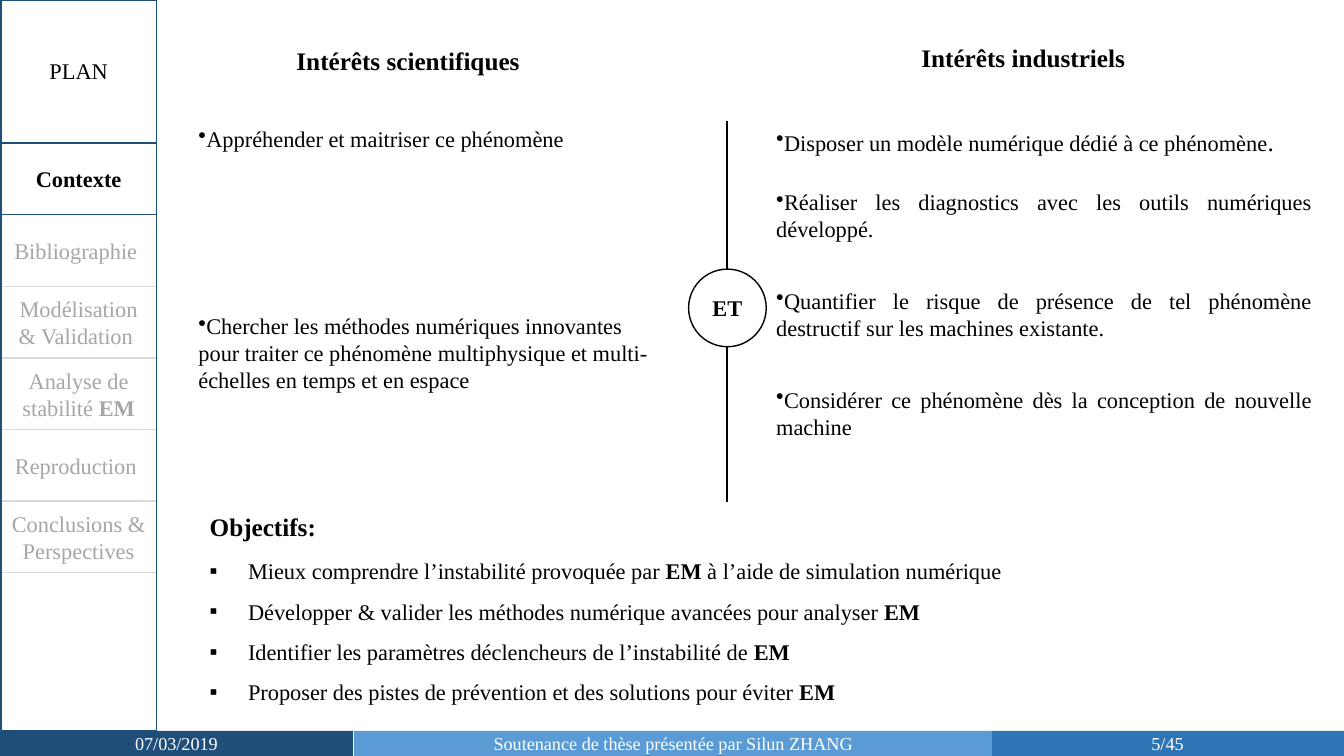
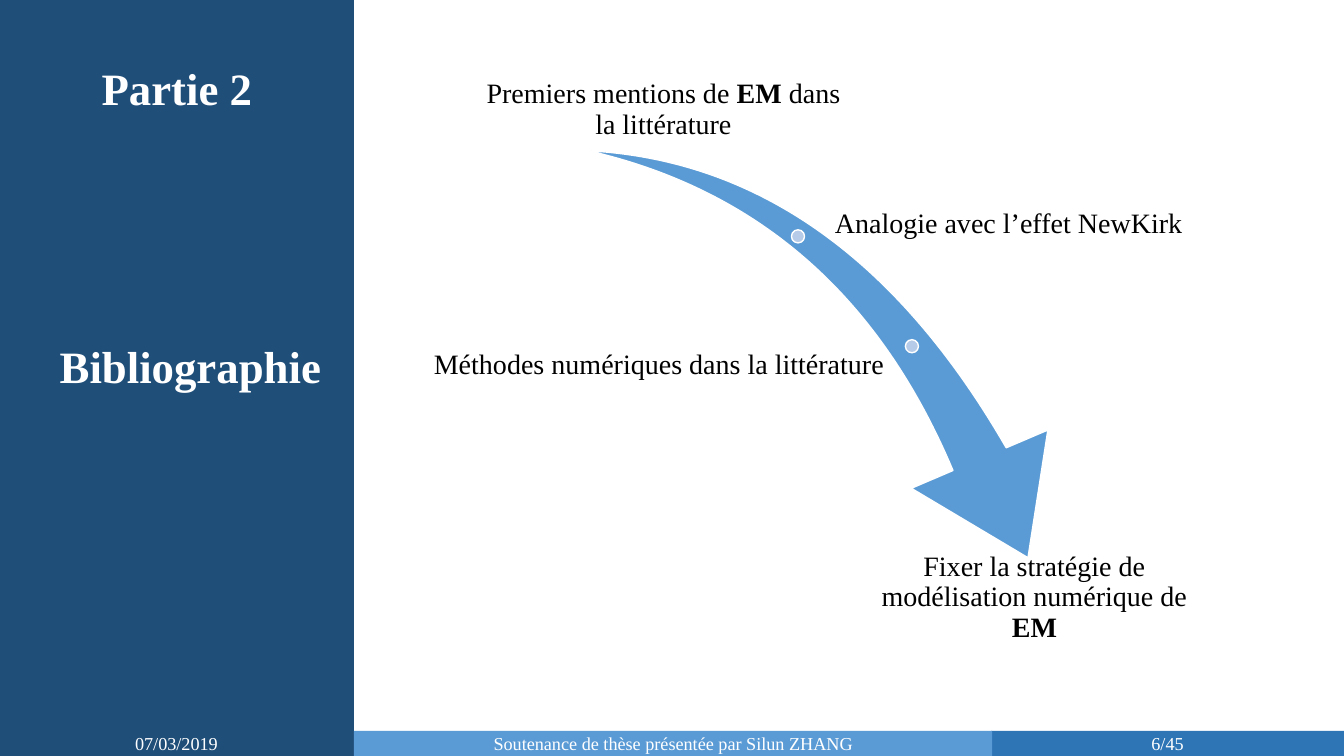
"""Build two thesis defence slides: the context page and the opening of part 2."""
from lxml import etree
from pptx import Presentation
from pptx.dml.color import RGBColor
from pptx.enum.shapes import MSO_CONNECTOR, MSO_SHAPE
from pptx.enum.text import MSO_ANCHOR, MSO_AUTO_SIZE, PP_ALIGN
from pptx.oxml.ns import qn
from pptx.util import Inches, Pt

FONT = "Times New Roman"
COLORS = {
    "navy": "1F4E79", "blue": "2E75B6", "sky": "5B9BD5", "pale": "B5CBE7",
    "rule": "D9D9D9", "muted": "A6A6A6", "black": "000000", "white": "FFFFFF",
}
LEFT, CENTER, RIGHT, JUSTIFY = PP_ALIGN.LEFT, PP_ALIGN.CENTER, PP_ALIGN.RIGHT, PP_ALIGN.JUSTIFY
TOP, MIDDLE, BOTTOM = MSO_ANCHOR.TOP, MSO_ANCHOR.MIDDLE, MSO_ANCHOR.BOTTOM
EM = ("EM", {"bold": True})

FOOTER_TOP, FOOTER_HEIGHT = 7.25, 0.25
DATE, EVENT, PAGE_COUNT = "07/03/2019", "Soutenance de thèse présentée par Silun ZHANG", 45

NAV_LEFT, NAV_WIDTH, NAV_TOP, NAV_HEIGHT = 0.01, 1.54, 1.42, 0.71
CURRENT_SECTION = "Contexte"
OTHER_SECTIONS = [
    ["Bibliographie "],
    ["Modélisation & Validation "],
    ["Analyse de stabilité ", EM],
    ["Reproduction "],
    ["Conclusions & Perspectives"],
]

INTERESTS = [
    ((1.87, 1.19, 4.12, 0.37), LEFT, ["Appréhender et maitriser ce phénomène"]),
    ((1.87, 3.05, 4.77, 1.18), LEFT, [
        "Chercher les méthodes numériques innovantes pour traiter ce phénomène "
        "multiphysique et multi-échelles en temps et en espace"]),
    ((7.6, 1.2, 5.51, 0.4), JUSTIFY, [
        "Disposer un modèle numérique dédié à ce phénomène", (". ", {"size": Pt(18)})]),
    ((7.6, 1.82, 5.51, 0.64), JUSTIFY, [
        "Réaliser les diagnostics avec les outils numériques développé."]),
    ((7.6, 2.8, 5.51, 0.64), JUSTIFY, [
        "Quantifier le risque de présence de tel phénomène destructif sur les machines existante."]),
    ((7.6, 3.78, 5.51, 0.64), JUSTIFY, [
        "Considérer ce phénomène dès la conception de nouvelle machine"]),
]
OBJECTIVES = [
    ["Mieux comprendre l’instabilité provoquée par ", EM, " à l’aide de simulation numérique"],
    ["Développer & valider les méthodes numérique avancées pour analyser ", EM],
    ["Identifier les paramètres déclencheurs de l’instabilité de ", EM],
    ["Proposer des pistes de prévention et des solutions pour éviter ", EM],
]

MILESTONES = [
    ((4.67, 0.47, 3.82, 0.95), CENTER, BOTTOM, ["Premiers mentions de ", EM, " dans la littérature"]),
    ((8.25, 1.75, 4.41, 0.95), LEFT, MIDDLE, ["Analogie avec l’effet NewKirk"]),
    ((4.07, 3.15, 4.8, 0.95), RIGHT, MIDDLE, ["Méthodes numériques dans la littérature "]),
    ((8.63, 5.45, 3.26, 0.95), CENTER, TOP, ["Fixer la stratégie de modélisation numérique de ", EM]),
]
DOTS = [(7.85, 2.28), (8.98, 3.37)]
DOT_SIZE = 0.13


def rgb(name):
    return RGBColor.from_string(COLORS[name])


def place(shape, area):
    for name, value in zip(("left", "top", "width", "height"), area):
        setattr(shape, name, Inches(value))


def write_para(para, spans, size=16, color="black", bold=False, align=LEFT,
               spacing=1.0, bullet=None, margin=0, indent=0):
    layout = {"alignment": align, "line_spacing": spacing,
              "space_before": Pt(0), "space_after": Pt(0)}
    for name, value in layout.items():
        setattr(para, name, value)
    properties = para._p.get_or_add_pPr()
    properties.set("marL", str(Inches(margin)))
    properties.set("indent", str(Inches(indent)))
    mark = etree.SubElement(properties, qn("a:buChar" if bullet else "a:buNone"))
    if bullet:
        mark.set("char", bullet)
    for piece in spans:
        text, changes = (piece, {}) if isinstance(piece, str) else piece
        span = para.add_run()
        span.text = text
        span.font.color.rgb = rgb(color)
        values = {"name": FONT, "size": Pt(size), "bold": bold, **changes}
        for name, value in values.items():
            setattr(span.font, name, value)


def write(shape, spans, anchor=TOP, wrap=True, inset=None, **look):
    frame = shape.text_frame
    values = {"auto_size": MSO_AUTO_SIZE.NONE, "word_wrap": wrap, "vertical_anchor": anchor}
    if inset is not None:
        for side in ("left", "top", "right", "bottom"):
            values["margin_" + side] = Inches(inset)
    for name, value in values.items():
        setattr(frame, name, value)
    write_para(frame.paragraphs[0], spans, **look)


def add_text(page, area, spans, **look):
    box = page.shapes.add_textbox(*map(Inches, area))
    write(box, spans, **look)


def add_shape(page, kind, area, fill=None, line=None):
    shape = page.shapes.add_shape(kind, *map(Inches, area))
    shape.shadow.inherit = False
    if fill:
        shape.fill.solid()
        shape.fill.fore_color.rgb = rgb(fill)
    else:
        shape.fill.background()
    if line:
        shape.line.color.rgb = rgb(line)
        shape.line.width = Pt(1)
    else:
        shape.line.fill.background()
    return shape


def set_title(page, area, text, **look):
    place(page.shapes.title, area)
    write(page.shapes.title, [text], bold=True, wrap=False, **look)


def add_footer(page, number):
    bands = [
        (9.83, 3.5, "blue", f"{number}/{PAGE_COUNT}"),
        (0, 3.5, "navy", DATE),
        (3.51, 6.33, "sky", EVENT),
    ]
    for left, width, fill, text in bands:
        band = add_shape(page, MSO_SHAPE.RECTANGLE, (left, FOOTER_TOP, width, FOOTER_HEIGHT), fill)
        write(band, [text], anchor=MIDDLE, size=13, color="white", align=CENTER)


def add_section(page, index, spans, line, **look):
    area = (NAV_LEFT, NAV_TOP + index * NAV_HEIGHT, NAV_WIDTH, NAV_HEIGHT)
    cell = add_shape(page, MSO_SHAPE.RECTANGLE, area, line=line)
    write(cell, spans, anchor=MIDDLE, align=CENTER, **look)


def add_navigation(page):
    add_text(page, (0.09, 0.52, 1.38, 0.37), ["PLAN"], align=CENTER)
    for index, spans in enumerate(OTHER_SECTIONS, 1):
        add_section(page, index, spans, "rule", color="muted")
    add_shape(page, MSO_SHAPE.RECTANGLE, (NAV_LEFT, 0, NAV_WIDTH, FOOTER_TOP), line="navy")
    add_section(page, 0, [CURRENT_SECTION], "navy", bold=True)


def add_divider(page):
    middle = 7.21
    divider = page.shapes.add_connector(
        MSO_CONNECTOR.STRAIGHT, *map(Inches, (middle, 1.2, middle, 4.98)))
    divider.line.color.rgb = rgb("black")
    divider.line.width = Pt(1.5)
    etree.SubElement(divider._element.spPr, qn("a:effectLst"))
    circle = add_shape(page, MSO_SHAPE.OVAL, (6.83, 2.67, 0.77, 0.77), "white", "black")
    write(circle, ["ET"], anchor=MIDDLE, bold=True, align=CENTER)


def build_context(deck):
    page = deck.slides.add_slide(deck.slide_layouts[1])
    set_title(page, (2.84, 0.4, 2.5, 0.4), "Intérêts scientifiques", size=18)
    objectives = page.placeholders[1]
    place(objectives, (1.98, 5.02, 8.88, 2.09))
    write(objectives, ["Objectifs:"], size=18, bold=True)
    objectives.text_frame.paragraphs[0].space_after = Pt(2)
    for spans in OBJECTIVES:
        write_para(objectives.text_frame.add_paragraph(), spans,
                   spacing=1.5, bullet="▪", margin=0.38, indent=-0.38)
    add_navigation(page)
    add_footer(page, 5)
    add_text(page, (9.04, 0.37, 2.43, 0.4), ["Intérêts industriels"], size=18, bold=True)
    add_divider(page)
    for area, align, spans in INTERESTS:
        add_text(page, area, spans, align=align, bullet="•", indent=-0.31)


def build_part(deck):
    page = deck.slides.add_slide(deck.slide_layouts[5])
    heading = {"size": 32, "color": "white", "align": CENTER}
    set_title(page, (0.48, 3.31, 2.82, 0.64), "Bibliographie", **heading)
    panel = add_shape(page, MSO_SHAPE.RECTANGLE, (0, 0, 3.5, 7.5), "navy", "navy")
    page.shapes.title.element.addprevious(panel.element)
    add_text(page, (0.9, 0.55, 1.71, 0.64), ["Partie 2"], bold=True, wrap=False, **heading)
    add_footer(page, 6)
    arrow = add_shape(page, MSO_SHAPE.SWOOSH_ARROW, (5.72, 1.65, 5.12, 3.57), "sky", "white")
    arrow.rotation = 73.3
    arrow.adjustments[0], arrow.adjustments[1] = 0.16, 0.31
    for left, top in DOTS:
        add_shape(page, MSO_SHAPE.OVAL, (left, top, DOT_SIZE, DOT_SIZE), "pale", "white")
    for area, align, anchor, spans in MILESTONES:
        add_text(page, area, spans, anchor=anchor, align=align,
                 size=20, spacing=0.9, inset=0.03)


def main():
    deck = Presentation()
    deck.slide_width, deck.slide_height = Inches(13.33), Inches(7.5)
    build_context(deck)
    build_part(deck)
    deck.save("out.pptx")


if __name__ == "__main__":
    main()
